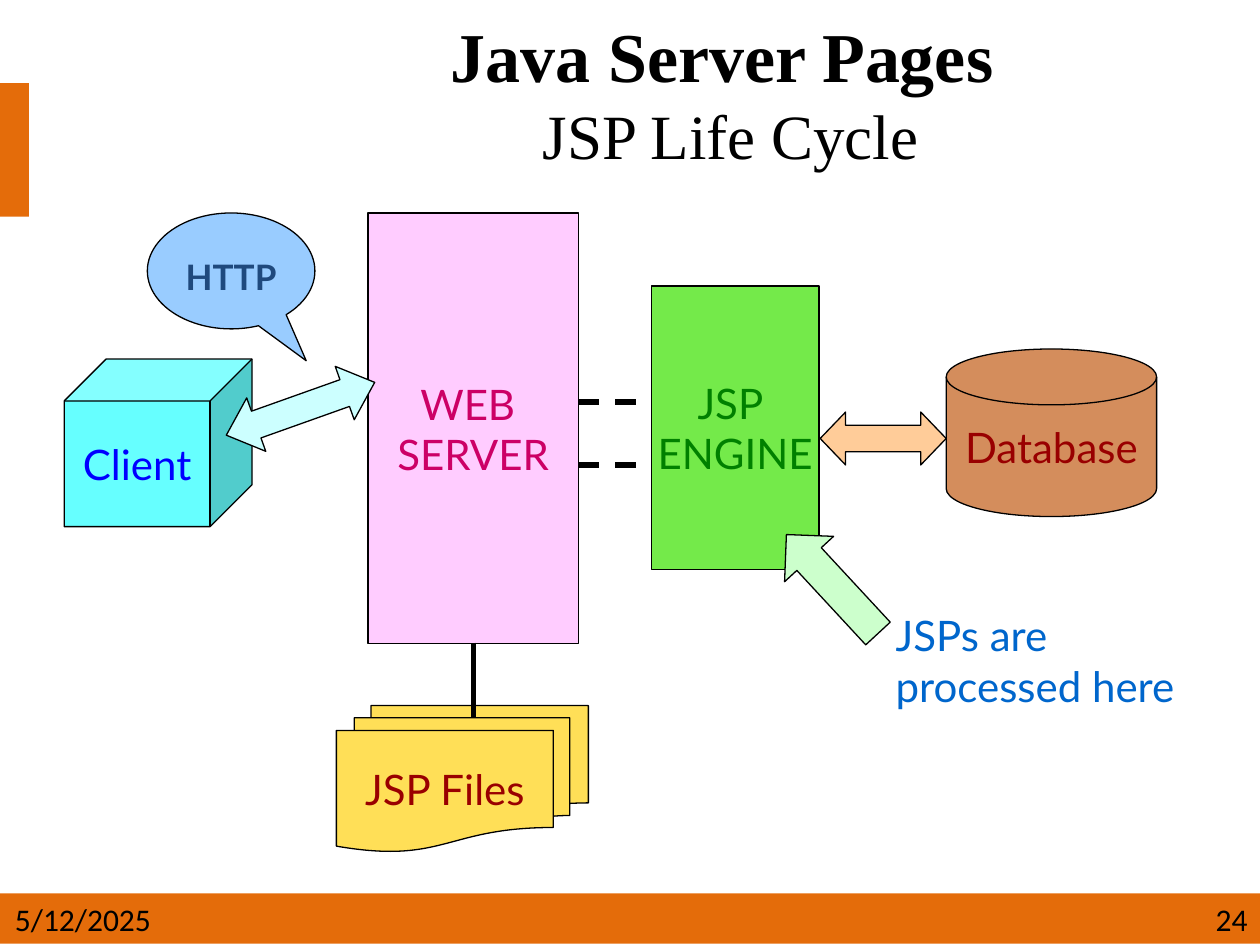
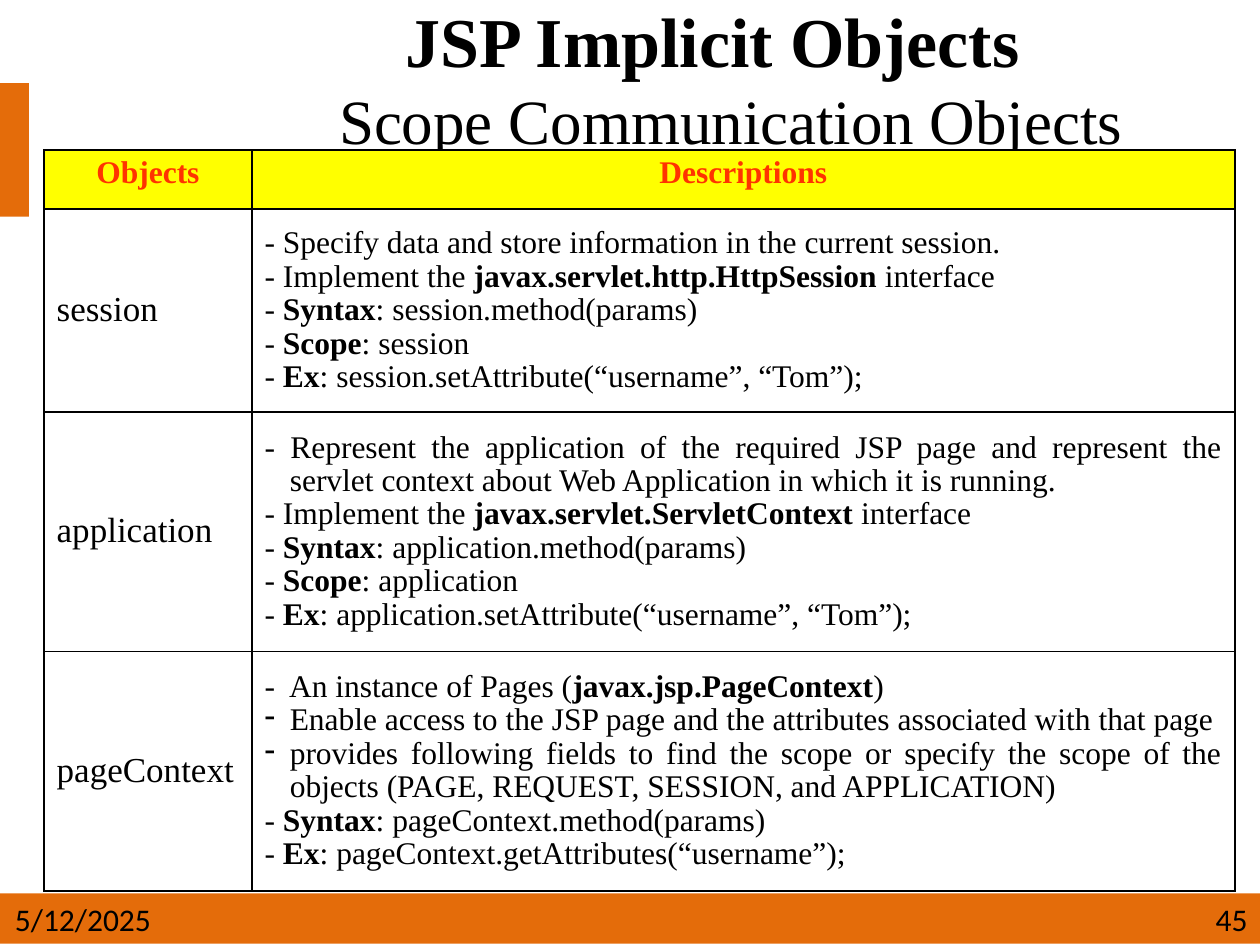
import lxml.etree
import pptx
import pptx.dml.color
import pptx.enum.dml
import pptx.enum.shapes
import pptx.enum.text
import pptx.oxml.ns
import pptx.util

Inches = pptx.util.Inches
Pt = pptx.util.Pt
Shape = pptx.enum.shapes.MSO_SHAPE
Align = pptx.enum.text.PP_ALIGN
Anchor = pptx.enum.text.MSO_ANCHOR
qn = pptx.oxml.ns.qn

BLACK = "000000"
ORANGE = "E46C0A"
DARK_RED = "990000"
SERIF = "Times New Roman"
DIAGRAM_FONT = "Lato"
FOOTER_FONT = "Calibri"


def colour(code):
    return pptx.dml.color.RGBColor.from_string(code)


class Page:
    """Style of the deck and the slide being drawn."""

    def __init__(self, deck):
        self.deck = deck
        self.slide = None

    def start(self, number, title, left, height, spacing=None):
        self.slide = self.deck.slides.add_slide(self.deck.slide_layouts[6])
        self.shape(Shape.RECTANGLE, 0, 7.09, 10, 0.4, ORANGE, outline=None)
        self.shape(Shape.RECTANGLE, 0, 0.66, 0.23, 1.06, ORANGE, outline=None)
        self.title(title, left, height, spacing)
        self.text("5/12/2025", 0.02, 7.09, 1.52, 0.4, 18, FOOTER_FONT)
        self.text(number, 7, 7.09, 3, 0.4, 18, FOOTER_FONT, align=Align.RIGHT)

    def style(self, span, size, font, code=BLACK, bold=False):
        span.font.size = Pt(size)
        span.font.name = font
        span.font.bold = bold
        span.font.color.rgb = colour(code)

    def fill_frame(self, frame, lines, size, font, code=BLACK, align=Align.LEFT):
        """Fill a frame with one paragraph a line; *stars* enclose bold words."""
        for index, line in enumerate(lines):
            para = frame.paragraphs[0] if index == 0 else frame.add_paragraph()
            para.alignment = align
            for part, words in enumerate(line.split("*")):
                if words:
                    span = para.add_run()
                    span.text = words
                    self.style(span, size, font, code, bold=part % 2 == 1)

    def title(self, lines, left, height, spacing):
        """Draw title lines, each a list of (text, size, bold) spans."""
        box = self.slide.shapes.add_textbox(Inches(left), 0, Inches(10 - left), Inches(height))
        frame = box.text_frame
        frame.word_wrap = True
        frame.margin_top = Inches(0.15)
        frame.vertical_anchor = Anchor.MIDDLE
        para = frame.paragraphs[0]
        para.alignment = Align.CENTER
        if spacing:
            para.line_spacing = spacing
        for index, line in enumerate(lines):
            if index:
                para.add_line_break()
            for words, size, bold in line:
                span = para.add_run()
                span.text = words
                self.style(span, size, SERIF, bold=bold)

    def text(self, words, left, top, width, height, size, font, code=BLACK, align=Align.LEFT):
        box = self.slide.shapes.add_textbox(
            Inches(left), Inches(top), Inches(width), Inches(height))
        box.text_frame.word_wrap = True
        self.fill_frame(box.text_frame, [words], size, font, code, align)

    def shape(self, kind, left, top, width, height, fill, outline=BLACK,
              adjustments=(), rotation=0):
        shape = self.slide.shapes.add_shape(
            kind, Inches(left), Inches(top), Inches(width), Inches(height))
        shape.shadow.inherit = False
        shape.fill.solid()
        shape.fill.fore_color.rgb = colour(fill)
        if outline:
            shape.line.color.rgb = colour(outline)
            shape.line.width = Pt(0.75)
        else:
            shape.line.fill.background()
        for index, value in enumerate(adjustments):
            shape.adjustments[index] = value
        shape.rotation = rotation
        return shape

    def node(self, kind, left, top, width, height, fill, lines, code):
        """Draw a diagram part with a centred label."""
        frame = self.shape(kind, left, top, width, height, fill).text_frame
        frame.word_wrap = False
        frame.vertical_anchor = Anchor.MIDDLE
        self.fill_frame(frame, lines, 24, DIAGRAM_FONT, code, Align.CENTER)

    def line(self, x1, y1, x2, y2, dashed=False):
        line = self.slide.shapes.add_connector(
            pptx.enum.shapes.MSO_CONNECTOR.STRAIGHT,
            Inches(x1), Inches(y1), Inches(x2), Inches(y2))
        line.line.color.rgb = colour(BLACK)
        line.line.width = Pt(3)
        if dashed:
            line.line.dash_style = pptx.enum.dml.MSO_LINE.DASH
        lxml.etree.SubElement(line._element.spPr, qn("a:effectLst"))

    def table(self, left, top, widths, heights):
        table = self.slide.shapes.add_table(
            len(heights), len(widths), Inches(left), Inches(top),
            Inches(sum(widths)), Inches(sum(heights))).table
        table.first_row = table.horz_banding = False
        for column, width in zip(table.columns, widths):
            column.width = Inches(width)
        for row, height in zip(table.rows, heights):
            row.height = Inches(height)
        return table

    def cell(self, cell, lines, size, indent, code=BLACK, fill=None,
             align=Align.JUSTIFY, anchor=Anchor.MIDDLE):
        """Fill a cell; a line that starts with • gets a dash bullet."""
        cell.vertical_anchor = anchor
        self.border(cell)
        if fill:
            cell.fill.solid()
            cell.fill.fore_color.rgb = colour(fill)
        else:
            cell.fill.background()
        self.fill_frame(cell.text_frame, [line.lstrip("•") for line in lines],
                        size, SERIF, code, align)
        for para, line in zip(cell.text_frame.paragraphs, lines):
            para.line_spacing = 0.96
            properties = para._p.get_or_add_pPr()
            properties.set("marL", str(Inches(indent)))
            properties.set("indent", str(-Inches(indent)))
            if line.startswith("•"):
                lxml.etree.SubElement(properties, qn("a:buChar")).set("char", "-")

    def border(self, cell):
        properties = cell._tc.get_or_add_tcPr()
        for side in ("a:lnL", "a:lnR", "a:lnT", "a:lnB"):
            edge = lxml.etree.SubElement(properties, qn(side), w=str(Pt(1)))
            paint = lxml.etree.SubElement(edge, qn("a:solidFill"))
            lxml.etree.SubElement(paint, qn("a:srgbClr"), val=BLACK)


def life_cycle(page):
    page.start("24", [[("Java Server Pages ", 40, True)], [("JSP Life Cycle", 36, False)]],
               left=1.6, height=1.37)
    page.node(Shape.RECTANGLE, 2.92, 1.69, 1.67, 3.42, "FFCCFF", ["WEB ", "SERVER"], "CC0066")
    page.node(Shape.RECTANGLE, 5.17, 2.27, 1.33, 2.25, "74EA4A", ["JSP ", "ENGINE"], "008000")
    page.node(Shape.FLOWCHART_MAGNETIC_DISK, 7.51, 2.77, 1.67, 1.33, "D48D5C",
              ["Database"], DARK_RED)
    page.node(Shape.CUBE, 0.51, 2.85, 1.49, 1.33, "66FFFF", ["Client"], "0000FF")
    page.node(Shape.FLOWCHART_MULTIDOCUMENT, 2.67, 5.6, 2, 1.16, "FFDF57",
              ["JSP Files"], DARK_RED)
    page.line(3.76, 5.1, 3.76, 5.69)

    callout = page.shape(Shape.OVAL_CALLOUT, 1.17, 1.69, 1.33, 0.92, "99CCFF",
                         adjustments=(0.448, 0.775))
    callout.text_frame.margin_top = Inches(0.2)
    callout.text_frame.vertical_anchor = Anchor.TOP
    page.fill_frame(callout.text_frame, ["*HTTP*"], 20, DIAGRAM_FONT, "1F497D", Align.CENTER)

    for height in (3.19, 3.69):
        page.line(4.59, height, 5.17, height, dashed=True)
    page.shape(Shape.LEFT_RIGHT_ARROW, 6.51, 3.27, 1, 0.42, "FFCC99", adjustments=(0.5, 0.48))
    page.text("JSPs are processed here", 7.01, 4.79, 2.68, 0.9, 24, DIAGRAM_FONT, "0066CC")
    page.shape(Shape.RIGHT_ARROW, 6.07, 4.37, 1.07, 0.53, "CCFFCC",
               adjustments=(0.5, 0.5), rotation=227.2)
    page.shape(Shape.LEFT_RIGHT_ARROW, 1.76, 3.02, 1.25, 0.45, "CCFFFF",
               adjustments=(0.5, 0.56), rotation=340.4)


def implicit_objects(page):
    page.start("45", [[("JSP Implicit Objects ", 40, True)],
                      [(" ", 44, True), ("Scope Communication Objects", 36, False)]],
               left=1.45, height=1.26, spacing=0.85)
    descriptions = {
        "session": [
            "- Specify data and store information in the current session.",
            "- Implement the *javax.servlet.http.HttpSession* interface",
            "- *Syntax*: session.method(params)",
            "- *Scope*: session",
            "- *Ex*: session.setAttribute(“username”, “Tom”);",
        ],
        "application": [
            "- Represent the application of the required JSP page and represent the "
            "servlet context about Web Application in which it is running.",
            "- Implement the *javax.servlet.ServletContext* interface",
            "- *Syntax*: application.method(params)",
            "- *Scope*: application",
            "- *Ex*: application.setAttribute(“username”, “Tom”);",
        ],
        "pageContext": [
            "-  An instance of Pages (*javax.jsp.PageContext*)",
            "•Enable access to the JSP page and the attributes associated with that page",
            "•provides following fields to find the scope or specify the scope of the "
            "objects (PAGE, REQUEST, SESSION, and APPLICATION)",
            "- *Syntax*: pageContext.method(params)",
            "- *Ex*: pageContext.getAttributes(“username”);",
        ],
    }
    table = page.table(0.35, 1.19, (1.65, 7.8), (0.47, 1.61, 1.9, 1.9))
    for column, heading in enumerate(("Objects", "Descriptions")):
        page.cell(table.cell(0, column), [f"*{heading}*"], 18, 0.38, "FF3300", "FFFF00",
                  Align.CENTER, Anchor.TOP)
    for row, (name, lines) in enumerate(descriptions.items(), start=1):
        page.cell(table.cell(row, 0), [name], 20, 0.38)
        page.cell(table.cell(row, 1), lines, 18, 0.2)


def main():
    deck = pptx.Presentation()
    deck.slide_width = Inches(10)
    deck.slide_height = Inches(7.5)
    page = Page(deck)
    life_cycle(page)
    implicit_objects(page)
    deck.save("out.pptx")


if __name__ == "__main__":
    main()
